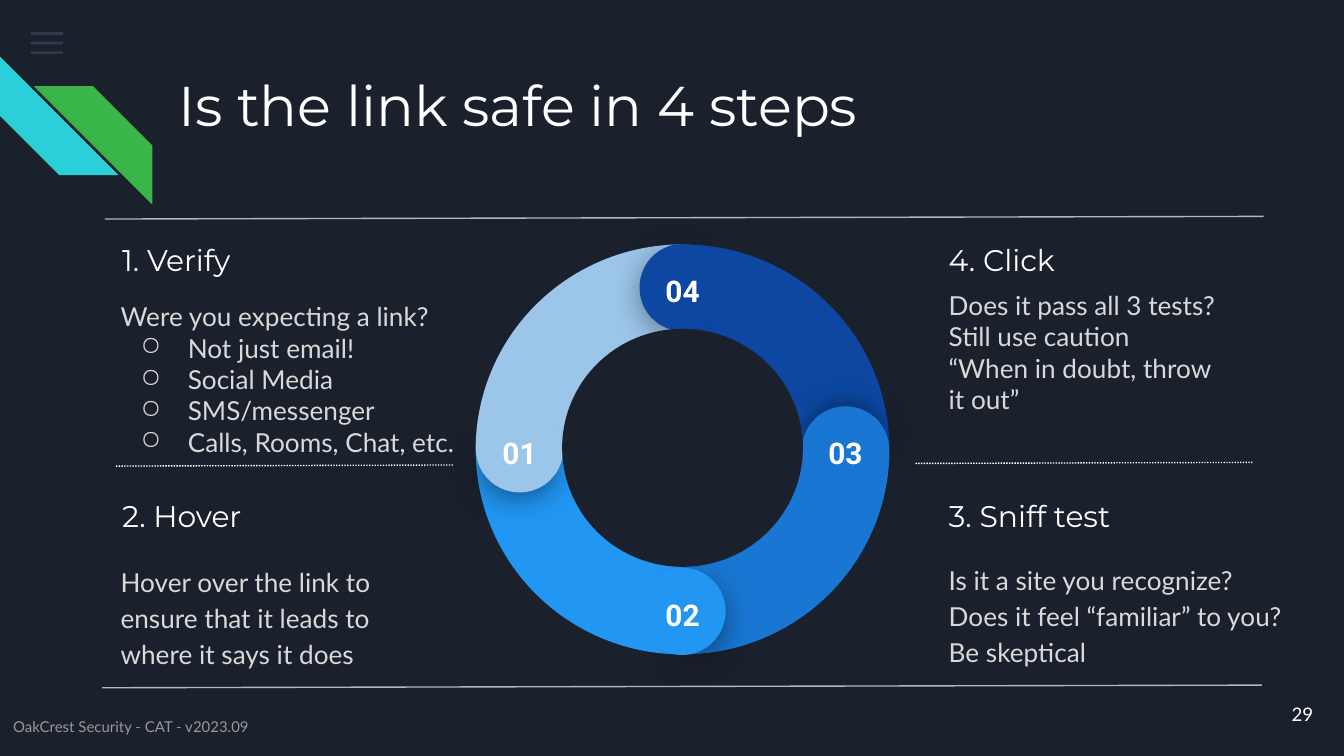
from math import cos, radians, sin

from lxml.etree import SubElement
from pptx import Presentation
from pptx.dml.color import RGBColor
from pptx.enum.dml import MSO_LINE
from pptx.enum.shapes import MSO_CONNECTOR, MSO_SHAPE as Preset
from pptx.enum.text import MSO_ANCHOR as Anchor, PP_ALIGN as Align
from pptx.oxml.ns import qn
from pptx.util import Cm, Pt

COLORS = {
    "night": "1B212C", "white": "FFFFFF", "text": "D9D9D9", "rule": "B7B7B7",
    "menu": "55688B", "note": "999999", "aqua": "2AD0D7", "green": "39B54A",
    "01": "9BC5E9", "02": "2196F3", "03": "1976D2", "04": "0D47A1",
}
TITLE = {"name": "Montserrat", "size": Pt(30), "color": "white"}
HEADING = {"name": "Montserrat", "size": Pt(16), "color": "white"}
BODY = {"name": "Lato", "size": Pt(14), "color": "text"}
NUMBER = {"name": "Roboto", "size": Pt(16), "bold": True, "color": "white"}
PAGE_NUMBER = {"name": "Lato", "size": Pt(10), "color": "white"}
NOTE = {"name": "Lato", "size": Pt(8), "color": "note"}

# alpha %, blur pt, distance pt, direction in degrees
DEEP_SHADOW = (55, 18, 4, 90)
FAINT_SHADOW = (13, 18, 4.5, 266)


def rgb(name):
    return RGBColor.from_string(COLORS[name])


def add_text(page, box, lines, style, anchor=Anchor.MIDDLE, **layout):
    """Place one paragraph per line; layout holds paragraph attributes."""
    frame = page.shapes.add_textbox(*map(Cm, box)).text_frame
    frame.word_wrap = True
    frame.vertical_anchor = anchor
    for side in ("left", "top", "right", "bottom"):
        setattr(frame, f"margin_{side}", Cm(0.25))
    for index, line in enumerate(lines):
        para = frame.paragraphs[0] if index == 0 else frame.add_paragraph()
        para.text = line
        for key, value in layout.items():
            setattr(para, key, value)
        for span in para.runs:
            for key, value in style.items():
                if key == "color":
                    span.font.color.rgb = rgb(value)
                else:
                    setattr(span.font, key, value)
    return frame


def indent(para, margin, hanging=0, bullet=None):
    props = para._p.get_or_add_pPr()
    props.set("marL", str(Cm(margin)))
    props.set("indent", str(Cm(-hanging)))
    if bullet:
        para.level = 1
        color = SubElement(props, qn("a:buClr"))
        SubElement(color, qn("a:srgbClr"), val=COLORS["text"])
        SubElement(props, qn("a:buChar"), char=bullet)


def add_shape(page, preset, box, color, rotation=0, adjust=(), alpha=None, shadow=None):
    shape = page.shapes.add_shape(preset, *map(Cm, box))
    shape.rotation = rotation % 360
    for index, value in enumerate(adjust):
        shape.adjustments[index] = value
    shape.fill.solid()
    shape.fill.fore_color.rgb = rgb(color)
    shape.line.fill.background()
    shape.shadow.inherit = False
    props = shape._element.spPr
    if alpha:
        tint = props.find(qn("a:solidFill")).find(qn("a:srgbClr"))
        SubElement(tint, qn("a:alpha"), val=str(alpha * 1000))
    if shadow:
        opacity, blur, distance, direction = shadow
        outer = SubElement(
            props.find(qn("a:effectLst")), qn("a:outerShdw"),
            blurRad=str(Pt(blur)), dist=str(Pt(distance)),
            dir=str(direction * 60000), algn="bl", rotWithShape="0")
        tint = SubElement(outer, qn("a:srgbClr"), val="000000")
        SubElement(tint, qn("a:alpha"), val=str(opacity * 1000))
    return shape


def add_centred(page, preset, x, y, width, height, color, **options):
    box = (x - width / 2, y - height / 2, width, height)
    return add_shape(page, preset, box, color, **options)


def add_rule(page, start, end, color, dash=None):
    rule = page.shapes.add_connector(MSO_CONNECTOR.STRAIGHT, *map(Cm, start + end))
    rule.line.color.rgb = rgb(color)
    rule.line.width = Pt(0.75)
    if dash:
        rule.line.dash_style = dash
    SubElement(rule._element.spPr, qn("a:effectLst"))


def angles(*degrees):
    """Adjustments of a pie or chord, whose unit is 100000/60000 of a degree."""
    return [degree * 0.6 for degree in degrees]


def draw_header(page, left, top, width):
    for row in range(3):
        bar = (left + 0.58, top + 0.61 + 0.18 * row, 0.61, 0.05)
        add_shape(page, Preset.RECTANGLE, bar, "menu", alpha=36)
    for x, y, color, turn in ((0, 1.07, "aqua", 270), (0.64, 1.63, "green", 90)):
        add_shape(page, Preset.DIAGONAL_STRIPE, (left + x, top + y, 2.24, 2.24),
                  color, rotation=turn, adjust=[0.5])
    add_text(page, (left + 3.12, top + 1.09, width - 5.36, 2.54),
             ["Is the link safe in 4 steps"], TITLE, Anchor.TOP)


def draw_step(page, left, top, heading, lines, body, **layout):
    """Place a heading and its text; body is the text box relative to the step."""
    add_text(page, (left, top, 5.21, 1.24), [heading], HEADING)
    x, y, width, height = body
    return add_text(page, (left + x, top + y, width, height), lines, BODY, **layout)


def draw_wheel(page, left, top, width, height):
    x, y = left + width / 2, top + height / 2
    turns = {"01": 0, "04": 90, "03": 180, "02": 270}
    for name, turn in turns.items():
        size = (height, width) if turn % 180 else (width, height)
        add_centred(page, Preset.PIE, x, y, *size, name,
                    rotation=turn, adjust=angles(180, 270))
    for name, turn in sorted(turns.items()):
        across, down = -cos(radians(turn)), -sin(radians(turn))
        faint = name == "03"
        add_centred(page, Preset.PIE, x + 3.12 * across, y + 3.1 * down, 1.47, 1.45,
                    name, rotation=39.5 + turn, adjust=angles(315.9, 139.7),
                    shadow=FAINT_SHADOW if faint else DEEP_SHADOW)
        disc_x, disc_y = x + 3.08 * across, y + 3.06 * down
        add_centred(page, Preset.CHORD, disc_x, disc_y, 1.65, 1.63, name,
                    rotation=4.1 + turn, adjust=angles(41.7, 30.2),
                    shadow=(13, 4.5, 4.5, 266) if faint else None)
        add_text(page, (disc_x - 0.71, disc_y - 0.53, 1.42, 0.74), [name], NUMBER,
                 Anchor.TOP, alignment=Align.CENTER)
    add_centred(page, Preset.OVAL, x, y - 0.03, 4.55, 4.5, "night")


def draw_footer(page, left, top, width):
    add_text(page, (left + width - 1.85, top, 1.52, 1.09), ["29"], PAGE_NUMBER,
             alignment=Align.RIGHT)
    add_text(page, (left, top + 0.23, 8.31, 1.09),
             ["OakCrest Security - CAT - v2023.09"], NOTE)


def draw_steps(page, left, right, upper, lower):
    verify = draw_step(
        page, left, upper, "1. Verify",
        ["Were you expecting a link?", "Not just email!", "Social Media",
         "SMS/messenger", "Calls, Rooms, Chat, etc."], (-1.3, 1.22, 8.31, 3.33))
    indent(verify.paragraphs[0], 1.27)
    for para in verify.paragraphs[1:]:
        indent(para, 2.54, 0.89, "○")
    spaced = {"line_spacing": 1.15, "space_after": Pt(16)}
    draw_step(page, left, lower, "2. Hover",
              ["Hover over the link to ensure that it leads to where it says it does"],
              (-0.03, 1.55, 5.36, 1.93), **spaced)
    draw_step(page, right, lower, "3. Sniff test",
              ["Is it a site you recognize?\vDoes it feel “familiar” to you?\vBe skeptical"],
              (0, 1.52, 6.86, 1.93), **spaced)
    draw_step(page, right, upper, "4. Click",
              ["Does it pass all 3 tests? Still use caution\v“When in doubt, throw it out”"],
              (0, 0.94, 5.59, 3.18), anchor=Anchor.TOP, space_after=Pt(16))


def draw_rules(page):
    add_rule(page, (23.88, 4.09), (1.98, 4.14), "rule")
    add_rule(page, (23.85, 12.95), (1.93, 13), "rule")
    add_rule(page, (8.56, 8.79), (2.18, 8.81), "white", MSO_LINE.ROUND_DOT)
    add_rule(page, (23.67, 8.74), (17.3, 8.76), "white", MSO_LINE.ROUND_DOT)


def main():
    deck = Presentation()
    deck.slide_width, deck.slide_height = Cm(25.4), Cm(14.29)
    page = deck.slides.add_slide(deck.slide_layouts[6])
    page.background.fill.solid()
    page.background.fill.fore_color.rgb = rgb("night")
    draw_header(page, 0, 0, 25.4)
    draw_steps(page, left=2.06, right=17.68, upper=4.28, lower=9.12)
    draw_rules(page)
    draw_wheel(page, 8.99, 4.62, 7.82, 7.75)
    draw_footer(page, 0, 12.95, 25.4)
    deck.save("out.pptx")


if __name__ == "__main__":
    main()
